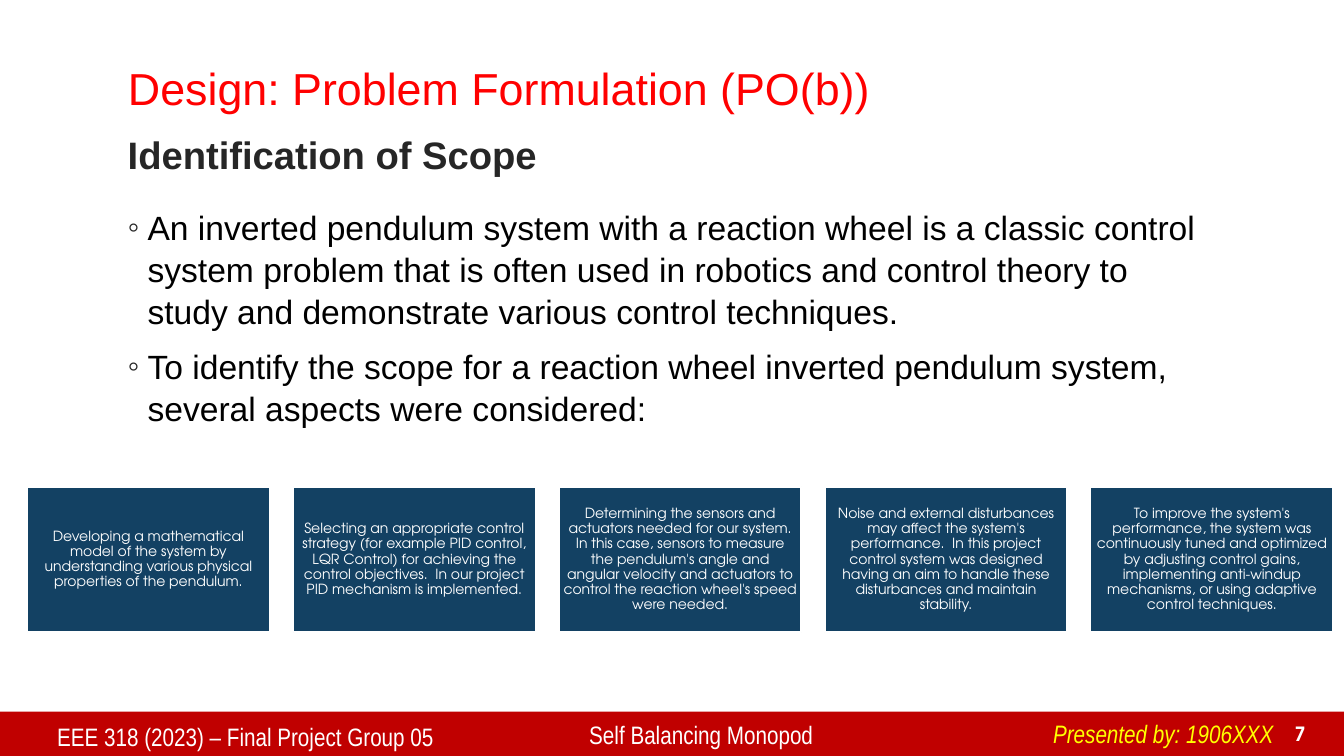
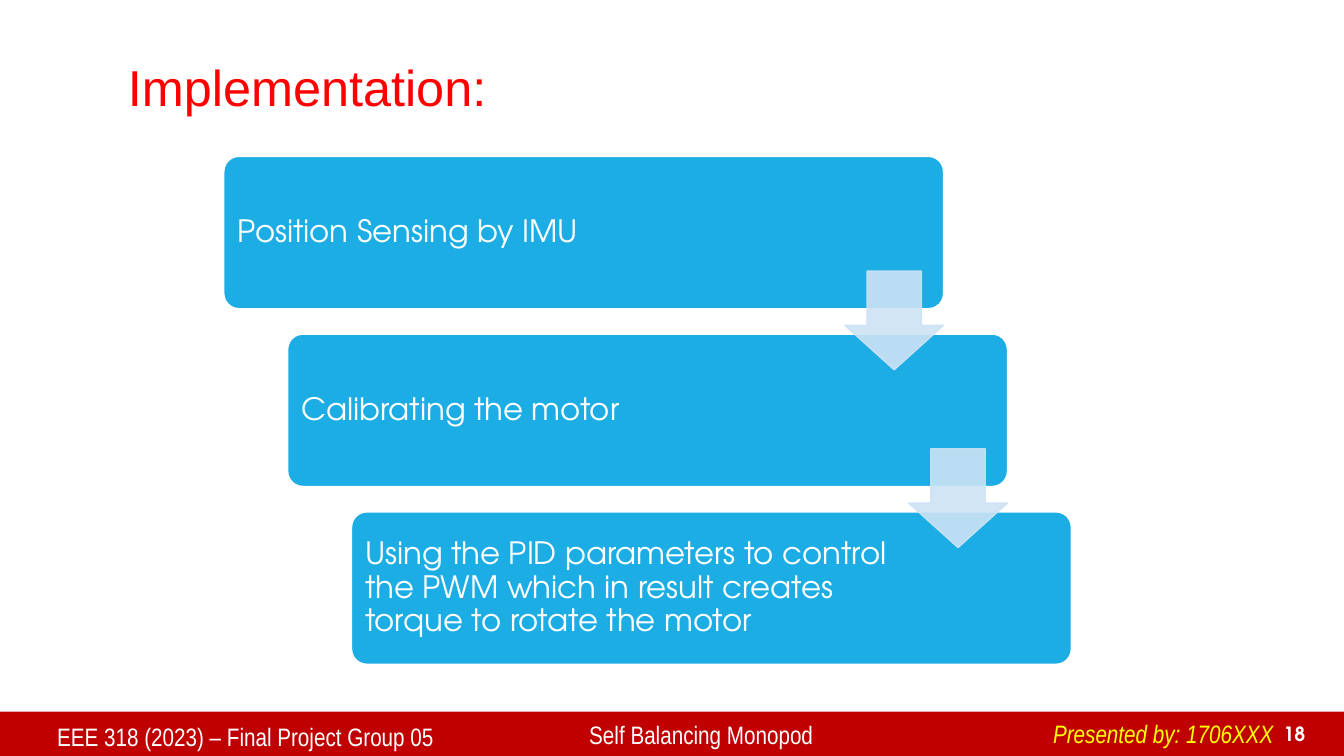
"""Build two slides of a project report on a self balancing monopod."""
from dataclasses import dataclass

from lxml import etree
from pptx import Presentation
from pptx import util as u
from pptx.dml.color import RGBColor
from pptx.enum import shapes, text
from pptx.oxml import ns


@dataclass(frozen=True)
class Theme:
    """Colours, fonts and type sizes of the deck."""

    white: str = "FFFFFF"
    black: str = "000000"
    ink: str = "262626"
    title: str = "FF0000"
    band: str = "C00000"
    presenter: str = "FFFF00"
    scope: str = "134163"
    step: str = "1CADE4"
    arrow: str = "CDE3F5"
    font: str = "Arial"
    footer_font: str = "Arial Narrow"
    diagram_font: str = "TeX Gyre Adventor"
    title_size: float = 32
    large_title_size: float = 36
    heading_size: float = 27.3
    body_size: float = 24
    footer_size: float = 18
    number_size: float = 14
    scope_size: float = 10
    step_size: float = 22


THEME = Theme()
LEFT = text.PP_ALIGN.LEFT
CENTER = text.PP_ALIGN.CENTER
RIGHT = text.PP_ALIGN.RIGHT
TOP = text.MSO_ANCHOR.TOP
MIDDLE = text.MSO_ANCHOR.MIDDLE
BOTTOM = text.MSO_ANCHOR.BOTTOM

TITLE_BOX = (2.97, 1.27, 27.94, 2.03)
HEADING_BOX = (2.97, 2.95, 27.94, 2.03)
BODY_BOX = (2.97, 5.03, 27.94, 11.2)

BULLETS = [
    "An inverted pendulum system with a reaction wheel is a classic control system problem "
    "that is often used in robotics and control theory to study and demonstrate various "
    "control techniques.",
    "To identify the scope for a reaction wheel inverted pendulum system, several aspects "
    "were considered:",
]
SCOPES = [
    "Developing a mathematical model of the system by understanding various physical "
    "properties of the pendulum.",
    "Selecting an appropriate control strategy (for example PID control, LQR Control) for "
    "achieving the control objectives.  In our project PID mechanism is implemented.",
    "Determining the sensors and actuators needed for our system. In this case, sensors to "
    "measure the pendulum's angle and angular velocity and actuators to control the reaction "
    "wheel's speed were needed.",
    "Noise and external disturbances may affect the system's performance.  In this project "
    "control system was designed having an aim to handle these disturbances and maintain "
    "stability.",
    "To improve the system's performance, the system was continuously tuned and optimized by "
    "adjusting control gains, implementing anti-windup mechanisms, or using adaptive control "
    "techniques.",
]
STEPS = [
    "Position Sensing by IMU",
    "Calibrating the motor",
    "Using the PID parameters to control the PWM which in result creates torque to rotate "
    "the motor",
]


def cm_box(box):
    """Turn left, top, width and height in centimetres into lengths."""
    return [u.Cm(length) for length in box]


def style_text(frame, size, color, font=THEME.font, align=LEFT, anchor=TOP,
               spacing=None, bold=False, italic=False):
    """Format every paragraph and run of a text frame."""
    frame.word_wrap = True
    frame.vertical_anchor = anchor
    for paragraph in frame.paragraphs:
        paragraph.alignment = align
        paragraph.line_spacing = spacing
        for run in paragraph.runs:
            run.font.size = u.Pt(size)
            run.font.name = font
            run.font.bold = bold
            run.font.italic = italic
            run.font.color.rgb = RGBColor.from_string(color)


def add_text(slide, box, content, size, color, **style):
    """Add a text box and return its text frame."""
    frame = slide.shapes.add_textbox(*cm_box(box)).text_frame
    frame.text = content
    style_text(frame, size, color, **style)
    return frame


def add_block(slide, kind, box, fill, line=None):
    """Add a flat preset shape, outlined if a line colour is given."""
    shape = slide.shapes.add_shape(kind, *cm_box(box))
    shape.shadow.inherit = False
    shape.fill.solid()
    shape.fill.fore_color.rgb = RGBColor.from_string(fill)
    if line:
        shape.line.color.rgb = RGBColor.from_string(line)
        shape.line.width = u.Pt(1)
    else:
        shape.line.fill.background()
    return shape


def set_margins(frame, margin, right=None):
    """Set equal text margins, with an optional wider right one."""
    frame.margin_left = frame.margin_top = frame.margin_bottom = u.Cm(margin)
    frame.margin_right = u.Cm(margin if right is None else right)


def set_opacity(shape, percent):
    """Make the fill and line colours of a shape partly transparent."""
    for color in shape.element.spPr.iter(ns.qn("a:srgbClr")):
        etree.SubElement(color, ns.qn("a:alpha"), val=str(percent * 1000))


def add_bullet(paragraph):
    """Give a paragraph a hanging ring bullet."""
    properties = paragraph._p.get_or_add_pPr()
    indent = u.Cm(0.5)
    properties.set("marL", str(indent))
    properties.set("indent", str(-indent))
    color = etree.SubElement(properties, ns.qn("a:buClr"))
    etree.SubElement(color, ns.qn("a:srgbClr"), val=THEME.ink)
    etree.SubElement(properties, ns.qn("a:buFont"), typeface=THEME.font)
    etree.SubElement(properties, ns.qn("a:buChar"), char="◦")


def add_footer(slide, presenter, number):
    """Add the bottom band with its four texts."""
    add_block(slide, shapes.MSO_SHAPE.RECTANGLE, (0, 17.93, 33.87, 1.14), THEME.band)
    add_text(slide, (31.7, 18.06, 1.45, 0.86), number, THEME.number_size, THEME.white,
             font=THEME.diagram_font, align=RIGHT, anchor=BOTTOM, bold=True)
    labels = [
        ((1.19, 18.06, 13.41, 1.04), "EEE 318 (2023) – Final Project Group 05"),
        ((14.6, 18.01, 17.1, 1.04), "Self Balancing Monopod"),
    ]
    for box, label in labels:
        add_text(slide, box, label, THEME.footer_size, THEME.white, font=THEME.footer_font)
    frame = add_text(slide, (26.29, 17.98, 6.15, 1.02), presenter, THEME.footer_size,
                     THEME.presenter, font=THEME.footer_font, italic=True)
    frame.word_wrap = False


def add_titled_slide(presentation, title, size, presenter, number):
    """Add a title-only slide with the shared title style and footer."""
    slide = presentation.slides.add_slide(presentation.slide_layouts[5])
    shape = slide.shapes.title
    shape.left, shape.top, shape.width, shape.height = cm_box(TITLE_BOX)
    shape.text_frame.text = title
    shape.text_frame.auto_size = text.MSO_AUTO_SIZE.NONE
    style_text(shape.text_frame, size, THEME.title, anchor=MIDDLE, spacing=0.9)
    add_footer(slide, presenter, number)
    return slide


def add_bullets(slide, items):
    """Add the bulleted body text."""
    frame = slide.shapes.add_textbox(*cm_box(BODY_BOX)).text_frame
    for index, item in enumerate(items):
        paragraph = frame.add_paragraph() if index else frame.paragraphs[0]
        paragraph.text = item
        if index:
            paragraph.space_before = u.Pt(9)
        paragraph.line_spacing = 1.05
        add_bullet(paragraph)
    style_text(frame, THEME.body_size, THEME.black, spacing=1.05)


def add_scope_row(slide, items):
    """Add a row of equally spaced scope boxes."""
    for index, item in enumerate(items):
        shape = add_block(slide, shapes.MSO_SHAPE.RECTANGLE,
                          (0.69 + index * 6.7, 12.27, 6.1, 3.66), THEME.scope, THEME.white)
        frame = shape.text_frame
        frame.text = item
        set_margins(frame, 0.1)
        style_text(frame, THEME.scope_size, THEME.white, font=THEME.diagram_font,
                   align=CENTER, anchor=MIDDLE, spacing=0.9)


def add_staircase(slide, items):
    """Add descending steps with an arrow from each to the next."""
    corners = [(5.64 + index * 1.61, 3.94 + index * 4.48) for index in range(len(items))]
    for (left, top), item in zip(corners, items):
        shape = add_block(slide, shapes.MSO_SHAPE.ROUNDED_RECTANGLE,
                          (left, top, 18.14, 3.84), THEME.step, THEME.white)
        shape.adjustments[0] = 0.1
        frame = shape.text_frame
        frame.text = item
        set_margins(frame, 0.23, right=4.31)
        style_text(frame, THEME.step_size, THEME.white, font=THEME.diagram_font,
                   anchor=MIDDLE, spacing=0.9)
    for left, top in corners[:-1]:
        arrow = add_block(slide, shapes.MSO_SHAPE.DOWN_ARROW,
                          (left + 15.65, top + 2.89, 2.49, 2.49), THEME.arrow, THEME.arrow)
        arrow.adjustments[0] = 0.55
        arrow.adjustments[1] = 0.45
        set_opacity(arrow, 90)


def main():
    """Build and save the presentation."""
    presentation = Presentation()
    presentation.slide_width = u.Cm(33.87)
    presentation.slide_height = u.Cm(19.05)

    slide = add_titled_slide(presentation, "Design: Problem Formulation (PO(b))",
                             THEME.title_size, "Presented by: 1906XXX", "7")
    add_text(slide, HEADING_BOX, "Identification of Scope", THEME.heading_size, THEME.ink,
             anchor=MIDDLE, spacing=0.9, bold=True)
    add_bullets(slide, BULLETS)
    add_scope_row(slide, SCOPES)

    slide = add_titled_slide(presentation, "Implementation:", THEME.large_title_size,
                             "Presented by: 1706XXX", "18")
    add_staircase(slide, STEPS)

    presentation.save("out.pptx")


if __name__ == "__main__":
    main()
